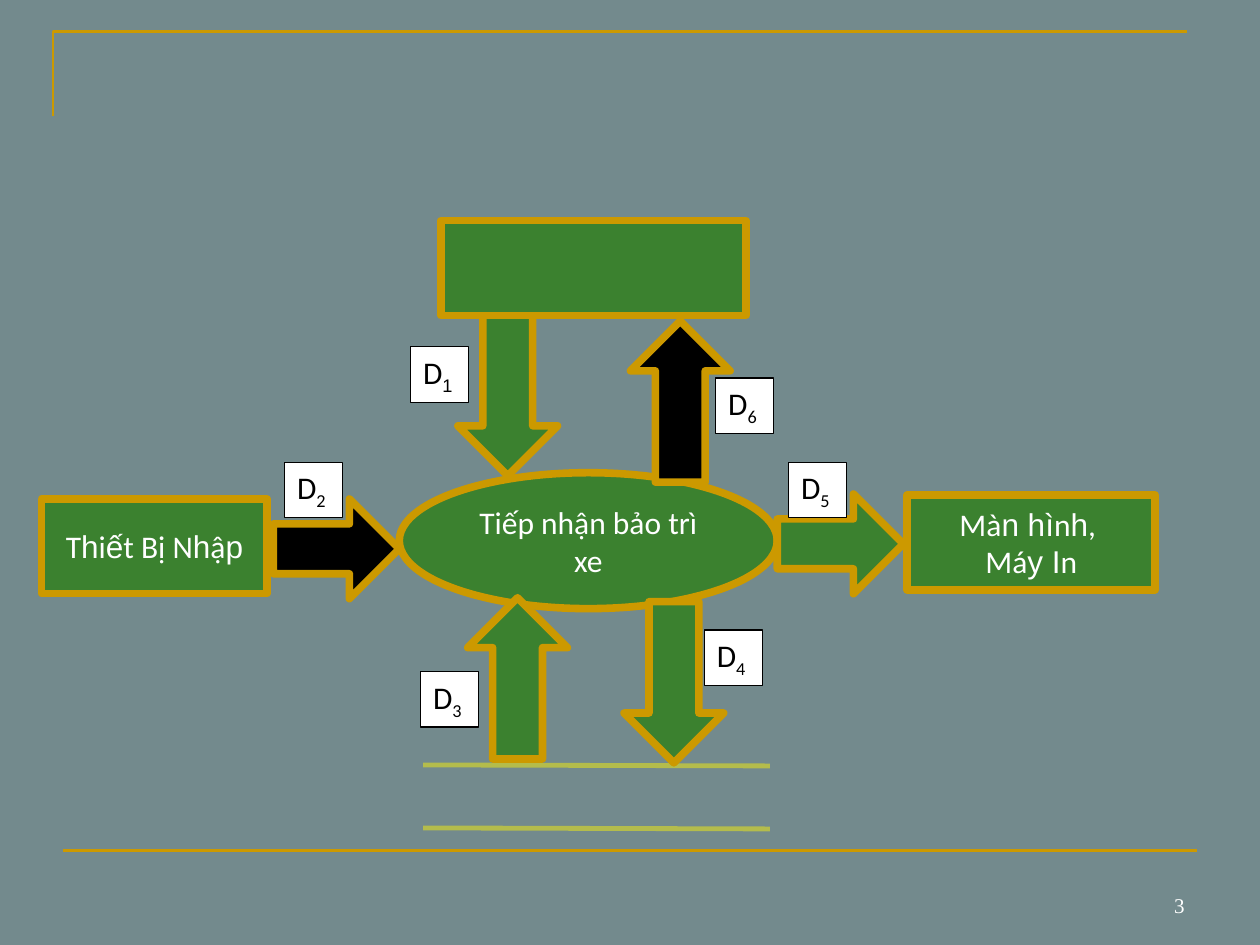
import pptx
import pptx.dml.color
import pptx.enum.shapes
import pptx.enum.text
import pptx.oxml.ns
import pptx.util
from lxml import etree

Cm = pptx.util.Cm
Pt = pptx.util.Pt
SHAPES = pptx.enum.shapes.MSO_SHAPE
ALIGN = pptx.enum.text.PP_ALIGN
ANCHOR = pptx.enum.text.MSO_ANCHOR

COLOURS = {
    "back": "738A8D",
    "gold": "CC9900",
    "green": "3B812F",
    "olive": "B4BC4C",
    "black": "000000",
    "white": "FFFFFF",
}
FONTS = ("Calibri", "Arial")


def colour(name):
    return pptx.dml.color.RGBColor.from_string(COLOURS[name])


def write_text(shape, text, size=18, fonts=FONTS, ink="white", align=ALIGN.CENTER,
               anchor=ANCHOR.MIDDLE, wrap=True, subscript=""):
    """Write one paragraph a line; each | switches to the other font."""
    frame = shape.text_frame
    frame.word_wrap = wrap
    frame.vertical_anchor = anchor
    for index, line in enumerate(text.split("\n")):
        para = frame.add_paragraph() if index else frame.paragraphs[0]
        para.alignment = align
        parts = line.split("|") + ([subscript] if subscript else [])
        for position, part in enumerate(parts):
            span = para.add_run()
            span.text = part
            span.font.size = Pt(size)
            span.font.name = fonts[position % len(fonts)]
            span.font.color.rgb = colour(ink)
    if subscript:
        span.font._element.set("baseline", "-25000")


def add_figure(page, kind, box, fill="green", line="gold", weight=4.34):
    shape = page.shapes.add_shape(kind, *(Cm(value) for value in box))
    shape.shadow.inherit = False
    shape.fill.solid()
    shape.fill.fore_color.rgb = colour(fill)
    shape.line.color.rgb = colour(line)
    shape.line.width = Pt(weight)
    return shape


def add_line(page, start, end, line, weight):
    connector = page.shapes.add_connector(
        pptx.enum.shapes.MSO_CONNECTOR.STRAIGHT,
        *(Cm(value) for value in (*start, *end)))
    connector.line.color.rgb = colour(line)
    connector.line.width = Pt(weight)
    etree.SubElement(connector._element.spPr, pptx.oxml.ns.qn("a:effectLst"))


def draw_frame(page, box):
    """Corner rule at the top left and a rule along the bottom."""
    left, top, width, height = box
    corner = page.shapes.build_freeform(Cm(left), Cm(top + 1.7))
    corner.add_line_segments(
        [(Cm(left), Cm(top)), (Cm(left + width), Cm(top))], close=False)
    shape = corner.convert_to_shape()
    shape.shadow.inherit = False
    shape.fill.background()
    shape.line.color.rgb = colour("gold")
    shape.line.width = Pt(1.5)
    bottom = top + height
    add_line(page, (left + 0.2, bottom), (left + width + 0.2, bottom), "gold", 1.5)


def draw_node(page, box, text="", kind=SHAPES.RECTANGLE):
    shape = add_figure(page, kind, box)
    if text:
        write_text(shape, text)


def draw_store(page, box):
    """Data store: two nearly level parallel lines."""
    left, top, width, height = box
    for level in (top, top + height):
        add_line(page, (left, level), (left + width, level + 0.02), "olive", 2.75)


def draw_flow(page, box, turn=0, fill="green"):
    arrow = add_figure(page, SHAPES.RIGHT_ARROW, box, fill)
    arrow.rotation = turn


def draw_label(page, box, number):
    label = add_figure(page, SHAPES.RECTANGLE, box, "white", "black", 0.75)
    write_text(label, "D", ink="black", align=ALIGN.LEFT, anchor=ANCHOR.TOP,
               wrap=False, subscript=str(number),
               fonts=FONTS if number == 1 else FONTS[:1])
    label.text_frame.auto_size = pptx.enum.text.MSO_AUTO_SIZE.SHAPE_TO_FIT_TEXT


def draw_page_number(page, box, number):
    shape = page.shapes.add_textbox(*(Cm(value) for value in box))
    write_text(shape, number, size=12, fonts=("Times New Roman",),
               align=ALIGN.RIGHT, anchor=ANCHOR.BOTTOM)


def draw_diagram(page, box):
    """Data flow diagram around one process."""
    left, top = box[:2]

    def place(x, y, width, height):
        return left + x, top + y, width, height

    down, up = 90, 270
    long_arrow, short_arrow = (3.25, 2.01), (2.54, 2.01)
    draw_node(page, place(7.21, 5.08, 7.62, 2.74), "Tiếp nhận bảo trì xe", SHAPES.OVAL)
    draw_flow(page, place(7.77, 2.51, *long_arrow), down)
    draw_node(page, place(8.05, 0, 6.15, 1.91))
    draw_store(page, place(7.69, 10.97, 6.99, 1.27))
    draw_flow(page, place(11.25, 2.64, *long_arrow), up, "black")
    draw_flow(page, place(7.97, 8.22, *long_arrow), up)
    draw_flow(page, place(11.12, 8.3, *long_arrow), down)
    draw_node(page, place(0, 5.61, 4.55, 1.91), "T|h|i|ế|t Bị N|h|ậ|p")
    draw_flow(page, place(4.67, 5.61, *short_arrow), fill="black")
    draw_node(page, place(17.45, 5.53, 5, 1.91), "Mà|n hì|n|h|, \nMá|y I|n")
    draw_flow(page, place(14.83, 5.51, *short_arrow))

    label_spots = [(7.44, 2.54), (4.9, 4.87), (7.64, 9.09),
                   (13.36, 8.25), (15.06, 4.87), (13.59, 3.17)]
    for number, spot in enumerate(label_spots, start=1):
        draw_label(page, place(*spot, 1.17, 1.12), number)


def main():
    deck = pptx.Presentation()
    deck.slide_width, deck.slide_height = Cm(25.4), Cm(19.05)
    page = deck.slides.add_slide(deck.slide_layouts[6])
    page.background.fill.solid()
    page.background.fill.fore_color.rgb = colour("back")
    draw_frame(page, (1.07, 0.64, 22.86, 16.51))
    draw_diagram(page, (0.84, 4.45, 22.45, 12.24))
    draw_page_number(page, (18.21, 17.35, 5.92, 1.27), "3")
    deck.save("out.pptx")


if __name__ == "__main__":
    main()
